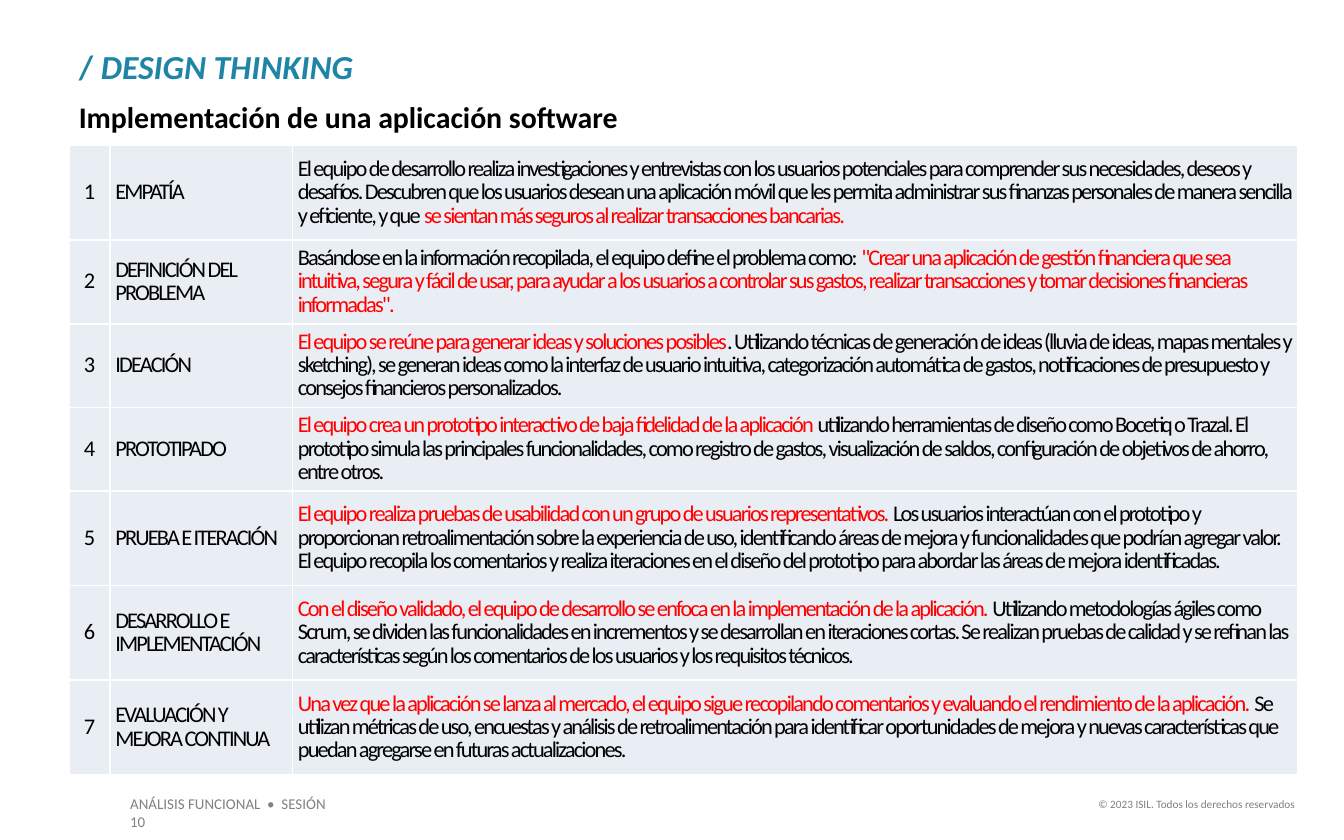
from lxml import etree
from pptx import Presentation, util as u
from pptx.dml.color import RGBColor
from pptx.enum import text
from pptx.oxml.ns import qn

Cm = u.Cm
HUES = {"teal": "1F85A6", "black": "000000", "red": "FF0000",
        "gray": "808080", "pale": "E9EDF4", "white": "FFFFFF"}
LEFT, MID, RIGHT = text.PP_ALIGN.LEFT, text.PP_ALIGN.CENTER, text.PP_ALIGN.RIGHT
TOP, CORE = text.MSO_ANCHOR.TOP, text.MSO_ANCHOR.MIDDLE

TITLE = [("/ ", "teal", {"size": u.Pt(18), "bold": True, "italic": False}),
         ("DESIGN THINKING", "teal", {"size": u.Pt(18), "bold": True, "italic": True})]
SUBTITLE = [("Implementación de una aplicación software", "black",
             {"size": u.Pt(16), "bold": True})]
FOOTER = [("ANÁLISIS FUNCIONAL  •  SESIÓN 10", "gray", {"size": u.Pt(8)})]
RIGHTS = [("© 2023 ISIL. Todos los derechos reservados", "gray", {"size": u.Pt(6)})]

STEPS = [
    ("EMPATÍA", [
        ("El equipo de desarrollo realiza investigaciones y entrevistas con los usuarios "
         "potenciales para comprender sus necesidades, deseos y desafíos. Descubren que los "
         "usuarios desean una aplicación móvil que les permita administrar sus finanzas "
         "personales de manera sencilla y eficiente, y que ", "black"),
        ("se sientan más seguros al realizar transacciones bancarias.", "red")]),
    ("DEFINICIÓN DEL PROBLEMA", [
        ("Basándose en la información recopilada, el equipo define el problema como: ", "black"),
        ('"Crear una aplicación de gestión financiera que sea intuitiva, segura y fácil de '
         "usar, para ayudar a los usuarios a controlar sus gastos, realizar transacciones y "
         'tomar decisiones financieras informadas".', "red")]),
    ("IDEACIÓN", [
        ("El equipo se reúne para generar ideas y soluciones posibles", "red"),
        (". Utilizando técnicas de generación de ideas (lluvia de ideas, mapas mentales y "
         "sketching), se generan ideas como la interfaz de usuario intuitiva, categorización "
         "automática de gastos, notificaciones de presupuesto y consejos financieros "
         "personalizados.", "black")]),
    ("PROTOTIPADO", [
        ("El equipo crea un prototipo interactivo de baja fidelidad de la aplicación ", "red"),
        ("utilizando herramientas de diseño como Bocetiq o Trazal. El prototipo simula las "
         "principales funcionalidades, como registro de gastos, visualización de saldos, "
         "configuración de objetivos de ahorro, entre otros.", "black")]),
    ("PRUEBA E ITERACIÓN", [
        ("El equipo realiza pruebas de usabilidad con un grupo de usuarios "
         "representativos. ", "red"),
        ("Los usuarios interactúan con el prototipo y proporcionan retroalimentación sobre la "
         "experiencia de uso, identificando áreas de mejora y funcionalidades que podrían "
         "agregar valor. El equipo recopila los comentarios y realiza iteraciones en el diseño "
         "del prototipo para abordar las áreas de mejora identificadas.", "black")]),
    ("DESARROLLO E IMPLEMENTACIÓN", [
        ("Con el diseño validado, el equipo de desarrollo se enfoca en la implementación de "
         "la aplicación. ", "red"),
        ("Utilizando metodologías ágiles como Scrum, se dividen las funcionalidades en "
         "incrementos y se desarrollan en iteraciones cortas. Se realizan pruebas de calidad "
         "y se refinan las características según los comentarios de los usuarios y los "
         "requisitos técnicos.", "black")]),
    ("EVALUACIÓN Y MEJORA CONTINUA", [
        ("Una vez que la aplicación se lanza al mercado, el equipo sigue recopilando "
         "comentarios y evaluando el rendimiento de la aplicación. ", "red"),
        ("Se utilizan métricas de uso, encuestas y análisis de retroalimentación para "
         "identificar oportunidades de mejora y nuevas características que puedan agregarse "
         "en futuras actualizaciones.", "black")]),
]
COLS = [0.78, 3.45, 19]
TALL, LOW = 1.79, 1.58
ROWS = [TALL, LOW, LOW, LOW, TALL, TALL, TALL]


def assign(item, vals):
    for key, val in vals.items():
        setattr(item, key, val)


def write(para, runs, **form):
    assign(para, form)
    for words, hue, font in runs:
        run = para.add_run()
        run.text = words
        assign(run.font, {"name": "Calibri", **font})
        run.font.color.rgb = RGBColor.from_string(HUES[hue])


def place(shape, box, runs, pad, anchor=TOP, **form):
    assign(shape, dict(zip(("left", "top", "width", "height"), map(Cm, box))))
    frame = shape.text_frame
    assign(frame, {"word_wrap": True, "auto_size": text.MSO_AUTO_SIZE.NONE,
                   "vertical_anchor": anchor,
                   "margin_left": Cm(pad[0]), "margin_right": Cm(pad[0]),
                   "margin_top": Cm(pad[1]), "margin_bottom": Cm(pad[1])})
    write(frame.paragraphs[0], runs, **form)


def border(cell):
    """Draw a thin white line on each side; lines must precede the fill."""
    props = cell._tc.get_or_add_tcPr()
    for spot, side in enumerate(("lnL", "lnR", "lnT", "lnB")):
        line = etree.Element(qn("a:" + side), w=str(u.Pt(1)))
        fill = etree.SubElement(line, qn("a:solidFill"))
        etree.SubElement(fill, qn("a:srgbClr"), val=HUES["white"])
        props.insert(spot, line)


def fill_cell(cell, runs, align):
    assign(cell, {"vertical_anchor": CORE, **{
        "margin_" + side: Cm(0.1) for side in ("left", "right", "top", "bottom")}})
    cell.fill.solid()
    cell.fill.fore_color.rgb = RGBColor.from_string(HUES["pale"])
    border(cell)
    para = cell.text_frame.paragraphs[0]
    write(para, [(words, hue, {"size": u.Pt(12)}) for words, hue in runs],
          alignment=align, line_spacing=0.85)
    for run in para.runs:
        run._r.get_or_add_rPr().set("spc", "-100")


def add_steps(slide):
    grid = slide.shapes.add_table(len(STEPS), len(COLS), Cm(1.3), Cm(2.75),
                                  Cm(sum(COLS)), Cm(sum(ROWS))).table
    assign(grid, {"first_row": False, "horz_banding": False})
    for col, wide in zip(grid.columns, COLS):
        col.width = Cm(wide)
    for num, (row, high, (name, runs)) in enumerate(zip(grid.rows, ROWS, STEPS), 1):
        row.height = Cm(high)
        parts = [([(str(num), "black")], MID), ([(name, "black")], LEFT), (runs, LEFT)]
        for cell, (words, align) in zip(row.cells, parts):
            fill_cell(cell, words, align)


def main():
    deck = Presentation()
    assign(deck, {"slide_width": Cm(25.4), "slide_height": Cm(15.88)})
    slide = deck.slides.add_slide(deck.slide_layouts[5])
    head, foot = (0.19, 0.1), (0.25, 0.13)
    place(slide.shapes.title, (1.3, 0.76, 22.8, 1), TITLE, head, alignment=LEFT)
    for box, runs, pad, anchor, form in [
        ((1.3, 1.75, 22.8, 1), SUBTITLE, head, CORE, {"alignment": LEFT, "line_spacing": 0.85}),
        ((2.21, 14.9, 4.55, 0.6), FOOTER, foot, TOP, {"alignment": LEFT}),
        ((20.35, 14.95, 4.37, 0.5), RIGHTS, foot, TOP, {"alignment": RIGHT}),
    ]:
        place(slide.shapes.add_textbox(0, 0, 0, 0), box, runs, pad, anchor, **form)
    add_steps(slide)
    deck.save("out.pptx")


if __name__ == "__main__":
    main()
